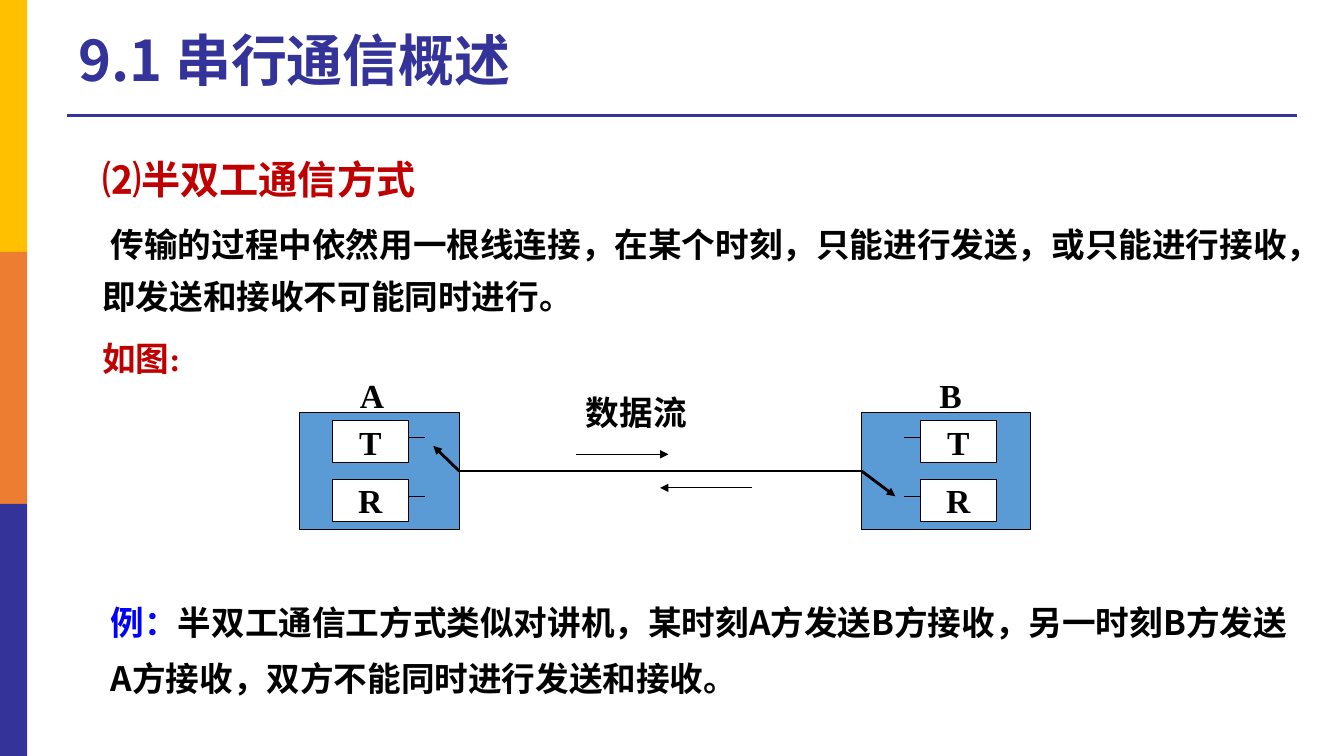
from pptx import Presentation
from pptx import util as u
from pptx.dml.color import RGBColor
from pptx.enum import shapes, text
from pptx.oxml.ns import qn
from lxml import etree

SERIF, SANS = "Times New Roman", "Noto Sans CJK SC"
BLACK, WHITE, NAVY, RED, BLUE = "000000", "FFFFFF", "333399", "C00000", "0000FF"


def tint(code):
    return RGBColor.from_string(code)


class Page:
    base = {"name": SERIF, "size": u.Pt(24), "bold": True}

    def __init__(self, deck):
        self.shapes = deck.slides.add_slide(deck.slide_layouts[6]).shapes

    def fill(self, frame, paras, wrap=True, **form):
        """Write paragraphs, each a list of (text, colour, font values), with shared format values."""
        frame.word_wrap = wrap
        for i, (runs, own) in enumerate(paras):
            para = frame.paragraphs[0] if i == 0 else frame.add_paragraph()
            for key, val in {**form, **own}.items():
                setattr(para, key, val)
            for words, color, font in runs:
                run = para.add_run()
                run.text = words
                for key, val in {**self.base, **font}.items():
                    setattr(run.font, key, val)
                run.font.color.rgb = tint(color)
                if run.font.name == SANS:
                    etree.SubElement(run.font._element, qn("a:ea")).set("typeface", SANS)

    def text(self, x, y, w, h, paras, **form):
        box = self.shapes.add_textbox(*map(u.Pt, (x, y, w, h)))
        self.fill(box.text_frame, paras, **form)

    def rect(self, x, y, w, h, color, edge=None, label=None):
        box = self.shapes.add_shape(shapes.MSO_SHAPE.RECTANGLE, *map(u.Pt, (x, y, w, h)))
        box.shadow.inherit = False
        box.fill.solid()
        box.fill.fore_color.rgb = tint(color)
        if edge:
            box.line.color.rgb = tint(edge)
            box.line.width = u.Pt(0.75)
        else:
            box.line.fill.background()
        if label:
            box.text_frame.vertical_anchor = text.MSO_ANCHOR.MIDDLE
            self.fill(box.text_frame, [([(label, BLACK, {})], {})], wrap=False,
                      alignment=text.PP_ALIGN.CENTER)
        return box

    def line(self, x1, y1, x2, y2, color=BLACK, width=0.75, arrow=False, start=None, end=None):
        """Draw a line; start and end are (shape, side) pairs to join."""
        link = self.shapes.add_connector(
            shapes.MSO_CONNECTOR.STRAIGHT, *map(u.Pt, (x1, y1, x2, y2)))
        if start:
            link.begin_connect(*start)
        if end:
            link.end_connect(*end)
        link.line.color.rgb = tint(color)
        link.line.width = u.Pt(width)
        if arrow:
            etree.SubElement(link.line._get_or_add_ln(), qn("a:tailEnd")).set("type", "triangle")
        etree.SubElement(link._element.spPr, qn("a:effectLst"))


def main():
    deck = Presentation()
    deck.slide_width, deck.slide_height = u.Pt(960), u.Pt(540)
    page = Page(deck)

    page.line(48, 82.8, 926.5, 82.8, NAVY, 2.25)
    for i, color in enumerate(("FFC000", "ED7D31", NAVY)):
        page.rect(0, 180 * i, 19.5, 180, color)
    page.text(48.75, 20, 713.5, 62.5,
              [([("9.1 串行通信概述", NAVY, {"name": SANS, "size": u.Pt(40)})], {})],
              line_spacing=0.9)

    body = [
        ([("⑵半双工通信方式", RED, {"size": u.Pt(28)})], {}),
        ([("传输的过程中依然用一根线连接，在某个时刻，只能进行发送，"
           "或只能进行接收，即发送和接收不可能同时进行。", BLACK, {})],
         {"space_before": u.Pt(7)}),
        ([("如图:", RED, {})], {"space_before": u.Pt(7)}),
    ]
    page.text(48, 97, 878.5, 181, body, line_spacing=1.3)
    frame = page.shapes[-1].text_frame
    for para, first in zip(frame.paragraphs, (0, 6, 0)):
        props = para._p.get_or_add_pPr()
        props.set("marL", str(u.Pt(18)))
        props.set("indent", str(u.Pt(first)))

    # Stations: left, width, left of inner boxes, left of stubs
    top, mid = 294.5, 336.5
    ends = []
    for x, w, inner, stub in ((214, 114, 237.5, 291.5), (615.5, 120.5, 657.5, 645.5)):
        ends.append(page.rect(x, top, w, 84, "5B9BD5", BLACK))
        for i, label in enumerate("TR"):
            y = top + 6 + 42 * i
            page.rect(inner, y, 54, 30, WHITE, BLACK, label)
            page.line(stub, y + 12, stub + 12, y + 12)
    left, right = (ends[0], 3), (ends[1], 1)

    for x, y, w, label in ((250, 264.5, 31.5, "A"), (664, 264.5, 30, "B"), (411.5, 276.5, 86.5, "数据流")):
        page.text(x, y, w, 36, [([(label, BLACK, {})], {})], wrap=False)

    page.line(328, mid, 615.5, mid, width=2, start=left, end=right)
    page.line(328, mid, 309.5, 318.5, width=2, arrow=True, start=left)
    page.line(615.5, mid, 639.5, 354.5, width=2, arrow=True, start=right)
    page.line(411.5, 324.5, 477.5, 324.5, arrow=True)
    page.line(537.5, 348.5, 471.5, 348.5, arrow=True)

    page.text(72, 415.5, 854.5, 88, [([
        ("例：", BLUE, {"name": SANS}),
        ("半双工通信工方式类似对讲机，某时刻A方发送B方接收，另一时刻B方发送A方接收，"
         "双方不能同时进行发送和接收。", BLACK, {"name": SANS})], {})], line_spacing=1.38)
    deck.save("out.pptx")


if __name__ == "__main__":
    main()
